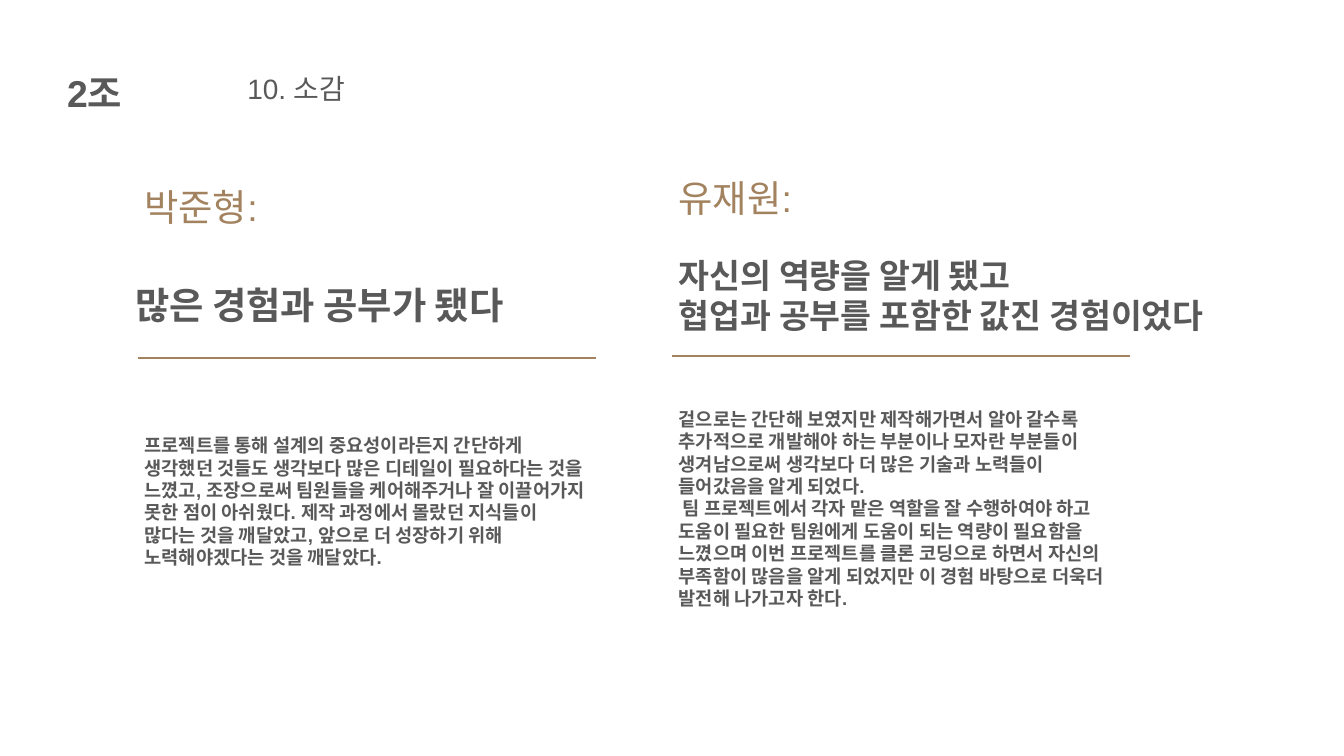
from lxml.etree import SubElement
from pptx import Presentation
from pptx.dml.color import RGBColor
from pptx.enum.shapes import MSO_CONNECTOR
from pptx.enum.text import MSO_ANCHOR, MSO_AUTO_SIZE, PP_ALIGN
from pptx.oxml.ns import qn
from pptx.util import Inches, Pt

# Content: each part is (paragraphs, (left, top, width, height))
TEAM = (["2조"], (0.9, 0.8, 3.57, 1.16))
TITLE = (["10. 소감"], (3.58, 1.01, 6.99, 0.61))
REVIEWS = [
    {
        "name": (["박준형:"], (2.05, 2.69, 3.95, 0.77)),
        "headline": (["많은 경험과 공부가 됐다"], (1.91, 4.15, 8.09, 0.77)),
        "headline_style": "headline",
        "rule": (2.05, 5.33),
        "comment": ([
            "프로젝트를 통해 설계의 중요성이라든지 간단하게 생각했던 것들도 생각보다 많은 "
            "디테일이 필요하다는 것을 느꼈고, 조장으로써 팀원들을 케어해주거나 잘 이끌어가지 "
            "못한 점이 아쉬웠다. 제작 과정에서 몰랐던 지식들이 많다는 것을 깨달았고, 앞으로 "
            "더 성장하기 위해 노력해야겠다는 것을 깨달았다.",
        ], (2.05, 6.4, 6.82, 2.12)),
    },
    {
        "name": (["유재원:"], (10, 2.56, 4.17, 0.77)),
        "headline": (["자신의 역량을 알게 됐고", "협업과 공부를 포함한 값진 경험이었다"],
                     (10, 3.74, 8.93, 1.31)),
        "headline_style": "long_headline",
        "rule": (10, 5.3),
        "comment": ([
            "겉으로는 간단해 보였지만 제작해가면서 알아 갈수록 추가적으로 개발해야 하는 "
            "부분이나 모자란 부분들이 생겨남으로써 생각보다 더 많은 기술과 노력들이 "
            "들어갔음을 알게 되었다.",
            " 팀 프로젝트에서 각자 맡은 역할을 잘 수행하여야 하고 도움이 필요한 팀원에게 "
            "도움이 되는 역량이 필요함을 느꼈으며 이번 프로젝트를 클론 코딩으로 하면서 "
            "자신의 부족함이 많음을 알게 되었지만 이 경험 바탕으로 더욱더 발전해 나가고자 한다.",
        ], (10, 6, 6.82, 3.13)),
    },
]

# Theme
GREY, TAN = RGBColor(0x59, 0x59, 0x59), RGBColor(0xA3, 0x83, 0x5F)
THEME = {
    "font": "Arial",
    "rule": {"color": TAN, "weight": Pt(2), "length": 6.82},
    "text": {
        "team": {"size": Pt(40), "bold": True, "color": GREY},
        "title": {"size": Pt(30), "bold": False, "color": GREY},
        "name": {"size": Pt(40), "bold": False, "color": TAN},
        "headline": {"size": Pt(40), "bold": True, "color": GREY},
        "long_headline": {"size": Pt(36), "bold": True, "color": GREY},
        "comment": {"size": Pt(20), "bold": True, "color": GREY},
    },
}
FRAME = {
    "word_wrap": True, "vertical_anchor": MSO_ANCHOR.MIDDLE,
    "margin_left": Inches(0.1), "margin_right": Inches(0.1),
    "margin_top": Inches(0.05), "margin_bottom": Inches(0.05),
    "auto_size": MSO_AUTO_SIZE.SHAPE_TO_FIT_TEXT,
}
PARAGRAPH = {"alignment": PP_ALIGN.LEFT, "space_before": Pt(0),
             "space_after": Pt(0), "line_spacing": 1.0}


def apply(target, values):
    for key, value in values.items():
        setattr(target, key, value)


def fill_text(holder, part, style_key):
    lines, box = part
    apply(holder, dict(zip(("left", "top", "width", "height"), map(Inches, box))))
    frame = holder.text_frame
    apply(frame, FRAME)
    style = THEME["text"][style_key]
    for index, line in enumerate(lines):
        paragraph = frame.add_paragraph() if index else frame.paragraphs[0]
        apply(paragraph, PARAGRAPH)
        # Plain paragraphs: no inherited bullet or hanging indent
        properties = paragraph._p.get_or_add_pPr()
        apply_indent = {"marL": "0", "indent": "0"}
        for key, value in apply_indent.items():
            properties.set(key, value)
        SubElement(properties, qn("a:buNone"))
        run = paragraph.add_run()
        run.text = line
        apply(run.font, {"name": THEME["font"], "size": style["size"], "bold": style["bold"]})
        run.font.color.rgb = style["color"]


def add_rule(slide, left, top):
    style = THEME["rule"]
    rule = slide.shapes.add_connector(
        MSO_CONNECTOR.STRAIGHT, Inches(left), Inches(top),
        Inches(left + style["length"]), Inches(top))
    rule.line.color.rgb = style["color"]
    rule.line.width = style["weight"]
    SubElement(rule._element.spPr, qn("a:effectLst"))


def add_label(slide, part, style_key):
    fill_text(slide.shapes.add_textbox(0, 0, 0, 0), part, style_key)


def main():
    deck = Presentation()
    deck.slide_width, deck.slide_height = Inches(20), Inches(11.25)
    comparison_layout = deck.slide_layouts[4]
    slide = deck.slides.add_slide(comparison_layout)

    # Header
    add_label(slide, TEAM, "team")
    fill_text(slide.shapes.title, TITLE, "title")

    # One column per review: headline and comment sit in paired placeholders
    bodies = list(slide.placeholders)[1:]
    for review, headline, comment in zip(REVIEWS, bodies[::2], bodies[1::2]):
        add_label(slide, review["name"], "name")
        fill_text(headline, review["headline"], review["headline_style"])
        add_rule(slide, *review["rule"])
        fill_text(comment, review["comment"], "comment")

    deck.save("out.pptx")


if __name__ == "__main__":
    main()
